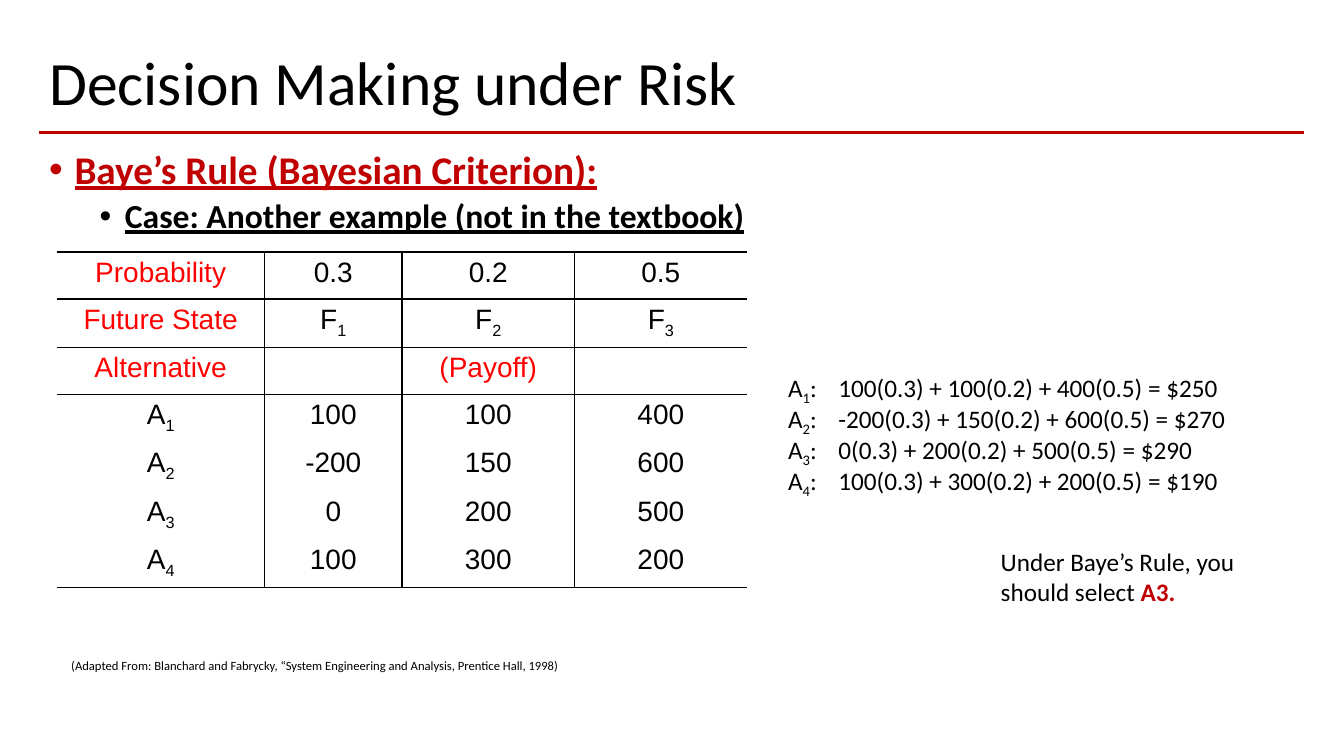
from lxml import etree
from pptx import Presentation
from pptx.dml.color import RGBColor
from pptx.enum.shapes import MSO_CONNECTOR
from pptx.enum.text import MSO_ANCHOR, PP_ALIGN
from pptx.oxml.ns import qn
from pptx.util import Cm, Pt

BLACK, DARK_RED, RED = "000000", "C00000", "FF0000"
NO_STYLE = "{2D5ABB26-0587-4C30-8999-92F81FD0307C}"

PAYOFFS = [
    ["Probability", "0.3", "0.2", "0.5"],
    ["Future State", "F_1", "F_2", "F_3"],
    ["Alternative", "", "(Payoff)", ""],
    ["A_1", "100", "100", "400"],
    ["A_2", "-200", "150", "600"],
    ["A_3", "0", "200", "500"],
    ["A_4", "100", "300", "200"],
]
COLUMN_WIDTHS = [5.24, 3.46, 4.35, 4.35]
HEADINGS = {"Probability", "Future State", "Alternative", "(Payoff)"}
EXPECTED_VALUES = [
    "100(0.3) + 100(0.2) + 400(0.5) = $250",
    "-200(0.3) + 150(0.2) + 600(0.5) = $270",
    "0(0.3) + 200(0.2) + 500(0.5) = $290",
    "100(0.3) + 300(0.2) + 200(0.5) = $190",
]


def rgb(color):
    return RGBColor.from_string(color)


def style(font, size, color=BLACK, name="Calibri", bold=None):
    font.size, font.name, font.bold = Pt(size), name, bold
    font.color.rgb = rgb(color)


def write(paragraph, marked):
    """Add runs; every second part between underscores is a subscript."""
    for i, part in enumerate(marked.split("_")):
        run = paragraph.add_run()
        run.text = part
        if i % 2:
            run._r.get_or_add_rPr().set("baseline", "-25000")


def add_text(slide, box, wrap=True):
    frame = slide.shapes.add_textbox(*map(Cm, box)).text_frame
    frame.word_wrap = wrap
    return frame


def next_paragraph(frame, index):
    return frame.add_paragraph() if index else frame.paragraphs[0]


def add_heading(slide, box):
    left, top, width, height = box
    title = slide.shapes.title
    title.left, title.top, title.width, title.height = map(Cm, box)
    title.text_frame.text = "Decision Making under Risk"
    title.text_frame.vertical_anchor = MSO_ANCHOR.MIDDLE
    paragraph = title.text_frame.paragraphs[0]
    paragraph.alignment, paragraph.line_spacing = PP_ALIGN.LEFT, 0.9
    style(paragraph.font, 44)
    # Rule along the lower edge of the title
    rule = slide.shapes.add_connector(
        MSO_CONNECTOR.STRAIGHT, Cm(left), Cm(top + height),
        Cm(left + width), Cm(top + height))
    rule.line.color.rgb = rgb(DARK_RED)
    rule.line.width = Pt(2.25)
    etree.SubElement(rule._element.spPr, qn("a:effectLst"))


def add_topics(slide, box):
    frame = add_text(slide, box)
    topics = [("Baye’s Rule (Bayesian Criterion):", 28, DARK_RED, 0.64),
              ("Case: Another example (not in the textbook)", 24, BLACK, 1.91)]
    for level, (topic, size, color, indent) in enumerate(topics):
        paragraph = next_paragraph(frame, level)
        paragraph.level, paragraph.line_spacing = level, 0.9
        if level:
            paragraph.space_before = Pt(5)
        props = paragraph._p.get_or_add_pPr()
        props.set("marL", str(Cm(indent)))
        props.set("indent", str(-Cm(0.64)))
        etree.SubElement(props, qn("a:buFont"), typeface="Arial")
        etree.SubElement(props, qn("a:buChar"), char="•")
        write(paragraph, topic)
        style(paragraph.font, size, color, bold=True)
        paragraph.font.underline = True


def add_border(cell, side):
    line = etree.SubElement(cell._tc.get_or_add_tcPr(), qn("a:ln" + side), w=str(Pt(1)))
    fill = etree.SubElement(line, qn("a:solidFill"))
    etree.SubElement(fill, qn("a:srgbClr"), val=BLACK)


def add_payoff_table(slide, box):
    rows, columns = len(PAYOFFS), len(COLUMN_WIDTHS)
    frame = slide.shapes.add_table(rows, columns, *map(Cm, box))
    table = frame.table
    table.first_row = table.horz_banding = False
    table._tbl.tblPr.find(qn("a:tableStyleId")).text = NO_STYLE
    for column, width in zip(table.columns, COLUMN_WIDTHS):
        column.width = Cm(width)
    for r, values in enumerate(PAYOFFS):
        for c, value in enumerate(values):
            cell = table.cell(r, c)
            # Inner verticals, lines around the two header rows, closing line
            sides = {"L": c > 0, "R": c < columns - 1,
                     "T": r <= 2, "B": r < 2 or r == rows - 1}
            for side, drawn in sides.items():
                if drawn:
                    add_border(cell, side)
            cell.fill.background()
            paragraph = cell.text_frame.paragraphs[0]
            paragraph.alignment = PP_ALIGN.CENTER
            if value:
                write(paragraph, value)
            style(paragraph.font, 20, RED if value in HEADINGS else BLACK, "Arial")


def add_expected_values(slide, box):
    frame = add_text(slide, box)
    for i, calculation in enumerate(EXPECTED_VALUES):
        paragraph = next_paragraph(frame, i)
        paragraph.line_spacing = 0.9
        write(paragraph, f"A_{i + 1}_:\t{calculation}")
        style(paragraph.font, 18)


def add_conclusion(slide, box):
    paragraph = add_text(slide, box).paragraphs[0]
    write(paragraph, "Under Baye’s Rule, you should select ")
    style(paragraph.font, 18)
    choice = paragraph.add_run()
    choice.text = "A3."
    choice.font.bold = True
    choice.font.color.rgb = rgb(DARK_RED)


def add_citation(slide, box):
    paragraph = add_text(slide, box, wrap=False).paragraphs[0]
    paragraph.alignment = PP_ALIGN.CENTER
    write(paragraph, "(Adapted From: Blanchard and Fabrycky, "
                     "“System Engineering and Analysis, Prentice Hall, 1998)")
    style(paragraph.font, 9)


def main():
    deck = Presentation()
    deck.slide_width, deck.slide_height = Cm(33.87), Cm(19.05)
    slide = deck.slides.add_slide(deck.slide_layouts.get_by_name("Title Only"))
    add_heading(slide, (0.99, 1, 31.88, 2.33))
    add_topics(slide, (0.99, 3.66, 31.88, 2.6))
    add_payoff_table(slide, (1.43, 6.35, sum(COLUMN_WIDTHS), 8.28))
    add_expected_values(slide, (19.61, 9.27, 13.84, 3.02))
    add_conclusion(slide, (24.97, 13.64, 6.4, 1.8))
    add_citation(slide, (1.45, 16.46, 12.95, 0.64))
    deck.save("out.pptx")


if __name__ == "__main__":
    main()
